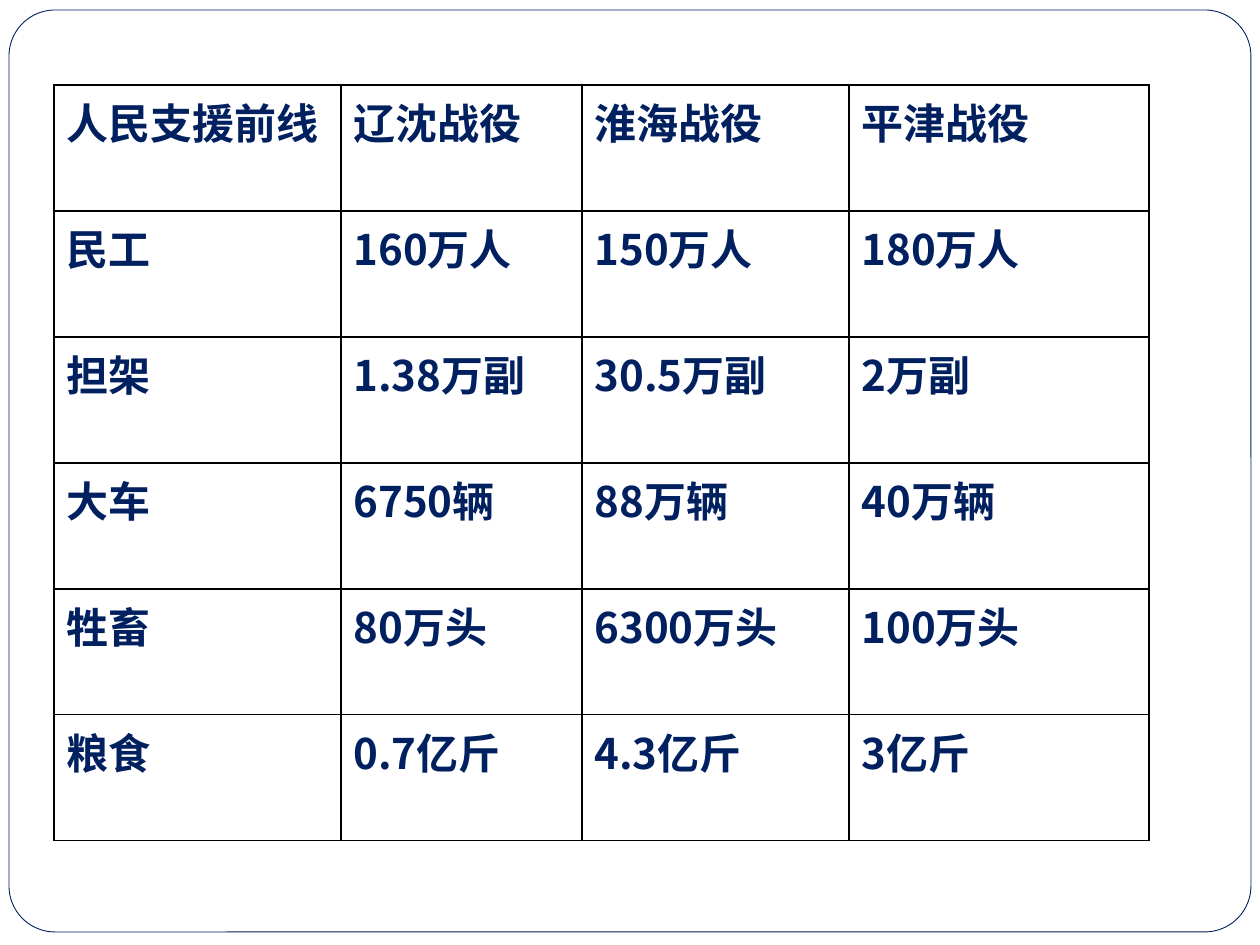
import pptx
import pptx.dml.color
import pptx.enum.shapes
import pptx.oxml.ns
import pptx.util
from lxml import etree

PX = 914400 // 126
FONT = "Noto Sans CJK JP"
COLORS = {
    name: pptx.dml.color.RGBColor.from_string(value)
    for name, value in {"navy": "002060", "white": "FFFFFF", "black": "000000"}.items()
}
COLUMN_WIDTHS = [287, 241, 267, 300]
ROW_HEIGHT = 126
INDENT = 48
ROWS = [
    ["人民支援前线", "辽沈战役", "淮海战役", "平津战役"],
    ["民工", "160万人", "150万人", "180万人"],
    ["担架", "1.38万副", "30.5万副", "2万副"],
    ["大车", "6750辆", "88万辆", "40万辆"],
    ["牲畜", "80万头", "6300万头", "100万头"],
    ["粮食", "0.7亿斤", "4.3亿斤", "3亿斤"],
]


def add_child(parent, tag, **attributes):
    return etree.SubElement(parent, pptx.oxml.ns.qn(tag), **attributes)


def add_borders(cell):
    properties = cell._tc.get_or_add_tcPr()
    for index, side in enumerate(["a:lnL", "a:lnR", "a:lnT", "a:lnB"]):
        line = add_child(properties, side, w=str(pptx.util.Pt(1)))
        fill = add_child(line, "a:solidFill")
        add_child(fill, "a:srgbClr", val=str(COLORS["black"]))
        properties.remove(line)
        properties.insert(index, line)  # borders come before the cell fill


presentation = pptx.Presentation()
presentation.slide_width = pptx.util.Inches(10)
presentation.slide_height = pptx.util.Inches(7.5)
slide = presentation.slides.add_slide(presentation.slide_layouts[6])

# Rounded frame
frame = slide.shapes.add_shape(
    pptx.enum.shapes.MSO_SHAPE.ROUNDED_RECTANGLE, 9 * PX, 10 * PX, 1242 * PX, 922 * PX
)
frame.adjustments[0] = 0.05
frame.shadow.inherit = False
frame.fill.solid()
frame.fill.fore_color.rgb = COLORS["white"]
frame.line.color.rgb = COLORS["navy"]
frame.line.width = pptx.util.Pt(0.5)

# Table grid
table = slide.shapes.add_table(
    len(ROWS), len(COLUMN_WIDTHS), 54 * PX, 85 * PX,
    sum(COLUMN_WIDTHS) * PX, len(ROWS) * ROW_HEIGHT * PX,
).table
table.first_row = False
table.horz_banding = False
for column, width in zip(table.columns, COLUMN_WIDTHS):
    column.width = width * PX
for row in table.rows:
    row.height = ROW_HEIGHT * PX

# Table cells
for row, texts in zip(table.rows, ROWS):
    for cell, text in zip(row.cells, texts):
        cell.fill.background()
        add_borders(cell)
        cell.text_frame.text = text
        paragraph = cell.text_frame.paragraphs[0]
        paragraph_properties = paragraph._p.get_or_add_pPr()
        paragraph_properties.set("marL", str(INDENT * PX))
        paragraph_properties.set("indent", str(-INDENT * PX))
        run = paragraph.runs[0]
        run.font.size = pptx.util.Pt(24)
        run.font.bold = True
        run.font.color.rgb = COLORS["navy"]
        run.font.name = FONT
        add_child(run._r.get_or_add_rPr(), "a:ea", typeface=FONT)

presentation.save("out.pptx")
